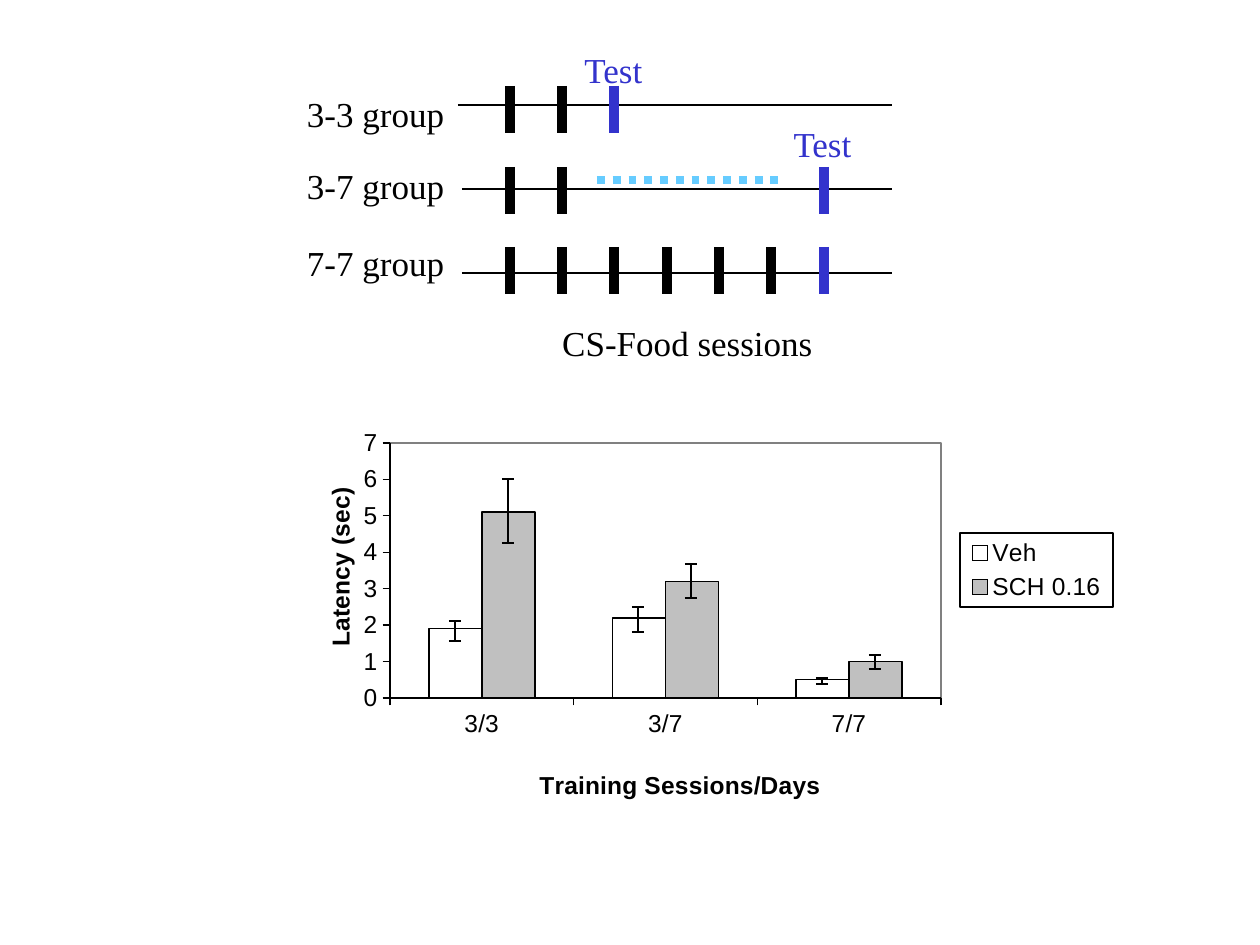
from lxml import etree
from pptx import Presentation
from pptx.chart.data import CategoryChartData as Data
from pptx.dml.color import RGBColor
from pptx.enum.chart import XL_CHART_TYPE as Kind, XL_LEGEND_POSITION as Side
from pptx.enum.dml import MSO_LINE as Dash
from pptx.enum.shapes import MSO_CONNECTOR as Link
from pptx.enum.text import PP_ALIGN as Align
from pptx.oxml import parse_xml
from pptx.oxml.ns import nsdecls, qn
from pptx.util import Pt

PX = 914400 / 126
BLACK = RGBColor(0x00, 0x00, 0x00)
WHITE = RGBColor(0xFF, 0xFF, 0xFF)
BLUE = RGBColor(0x33, 0x33, 0xCC)
SKY = RGBColor(0x66, 0xCC, 0xFF)
GRAY = RGBColor(0x80, 0x80, 0x80)
SILVER = RGBColor(0xC0, 0xC0, 0xC0)

deck = Presentation()
deck.slide_width, deck.slide_height = int(1260 * PX), int(945 * PX)
slide = deck.slides.add_slide(deck.slide_layouts[6])
shapes = slide.shapes


def draw_line(x1, y1, x2, y2, color, width):
    ends = [int(n * PX) for n in (x1, y1, x2, y2)]
    rule = shapes.add_connector(Link.STRAIGHT, *ends)
    rule.line.color.rgb = color
    rule.line.width = Pt(width)
    etree.SubElement(rule._element.spPr, qn("a:effectLst"))
    return rule


def place(node, index, left, top, width=0, height=0, inner=False):
    for old in node.findall(qn("c:layout")):
        node.remove(old)
    layout = etree.Element(qn("c:layout"))
    manual = etree.SubElement(layout, qn("c:manualLayout"))
    parts = [("layoutTarget", "inner")] if inner else []
    parts += [("xMode", "edge"), ("yMode", "edge")]
    parts += [("x", (left - LEFT) / WIDE), ("y", (top - TOP) / HIGH)]
    if width:
        parts += [("w", width / WIDE), ("h", height / HIGH)]
    for name, value in parts:
        etree.SubElement(manual, qn("c:" + name)).set("val", str(value))
    node.insert(index, layout)


rows = [(458, 105, 86, 2, 2), (462, 189, 167, 2, 6), (462, 273, 247, 6, 6)]
for start, level, top, count, test in rows:
    draw_line(start, level, 892, level, BLACK, 0.75)
    for day in [*range(count), test]:
        x = 510 + day * 314 // 6
        draw_line(x, top, x, top + 47, BLUE if day == test else BLACK, 6)
draw_line(597, 180, 780, 180, SKY, 4.5).line.dash_style = Dash.ROUND_DOT

labels = [
    ("Test", 557, 42, 113, BLUE),
    ("Test", 766, 116, 113, BLUE),
    ("3-3 group", 284, 86, 183, BLACK),
    ("3-7 group", 284, 158, 183, BLACK),
    ("7-7 group", 284, 235, 183, BLACK),
    ("CS-Food sessions", 487, 315, 401, BLACK),
]
for words, left, top, width, color in labels:
    box = shapes.add_textbox(*[int(n * PX) for n in (left, top, width, 55)])
    box.text_frame.word_wrap = True
    para = box.text_frame.paragraphs[0]
    para.text = words
    para.alignment = Align.CENTER
    para.font.name = "Times New Roman"
    para.font.size = Pt(20)
    para.font.color.rgb = color

LEFT, TOP, WIDE, HIGH = 310, 420, 830, 390
series = [
    ("Veh", (1.9, 2.2, 0.5), WHITE),
    ("SCH 0.16", (5.1, 3.2, 1.0), SILVER),
]
data = Data()
data.categories = ["3/3", "3/7", "7/7"]
for name, means, color in series:
    data.add_series(name, means)
frame = [int(n * PX) for n in (LEFT, TOP, WIDE, HIGH)]
chart = shapes.add_chart(Kind.COLUMN_CLUSTERED, *frame, data).chart
chart.has_title = False
chart.font.name = "Arial"
chart.font.size = Pt(14)
chart.font.color.rgb = BLACK
plot = chart.plots[0]
plot.gap_width, plot.overlap = 147, 0
plot.vary_by_categories = False
for bars, (name, means, color) in zip(plot.series, series):
    bars.format.fill.solid()
    bars.format.fill.fore_color.rgb = color
    bars.format.line.color.rgb = BLACK
    bars.format.line.width = Pt(0.88)

scale = chart.value_axis
scale.minimum_scale, scale.maximum_scale, scale.major_unit = 0, 7, 1
scale.has_major_gridlines = False
titles = [
    (scale, "Latency (sec)", 320, 483),
    (chart.category_axis, "Training Sessions/Days", 535, 765),
]
for axis, words, left, top in titles:
    axis.format.line.color.rgb = BLACK
    axis.format.line.width = Pt(0.75)
    para = axis.axis_title.text_frame.paragraphs[0]
    para.text = words
    para.font.name = "Arial"
    para.font.size = Pt(14)
    para.font.bold = True
    para.font.color.rgb = BLACK
    place(axis.axis_title._element, 1, left, top)

chart.has_legend = True
chart.legend.position = Side.RIGHT
chart.legend.include_in_layout = False
place(chart.legend._element, 1, 960, 533, 153, 74)
area = chart._chartSpace.chart.plotArea
place(area, 0, 390, 443, 551, 255, True)
for node, color in ((area, GRAY), (chart.legend._element, BLACK)):
    border = parse_xml(
        f'<c:spPr {nsdecls("c", "a")}><a:noFill/><a:ln w="11176"><a:solidFill>'
        f'<a:srgbClr val="{color}"/></a:solidFill></a:ln></c:spPr>'
    )
    text = node.find(qn("c:txPr"))
    if text is None:
        node.append(border)
    else:
        text.addprevious(border)

spans = [
    [(621, 641), (607, 632), (678, 684)],
    [(479, 543), (564, 598), (655, 669)],
]
for side, group in enumerate(spans):
    for index, (high, low) in enumerate(group):
        x = 455 + side * 53 + index * 551 // 3
        draw_line(x, high, x, low, BLACK, 0.88)
        for y in (high, low):
            draw_line(x - 6, y, x + 6, y, BLACK, 0.88)

deck.save("out.pptx")
